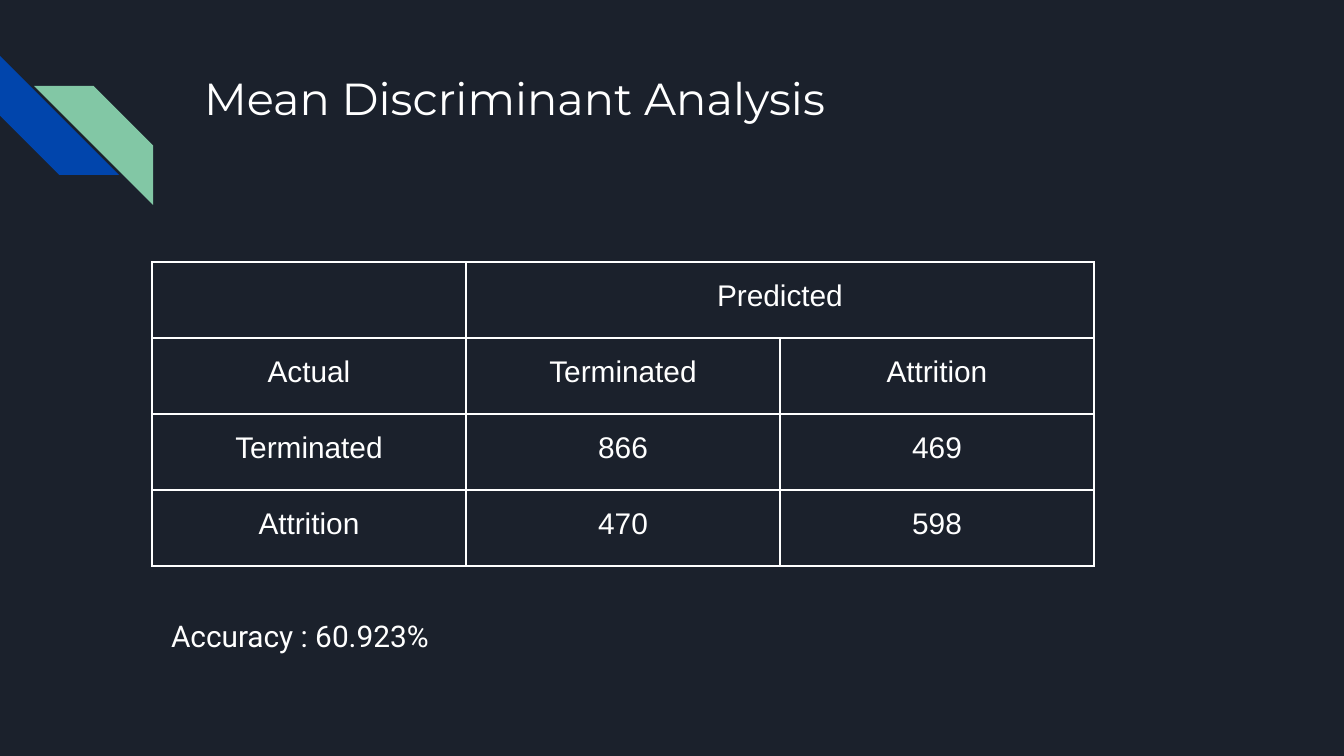
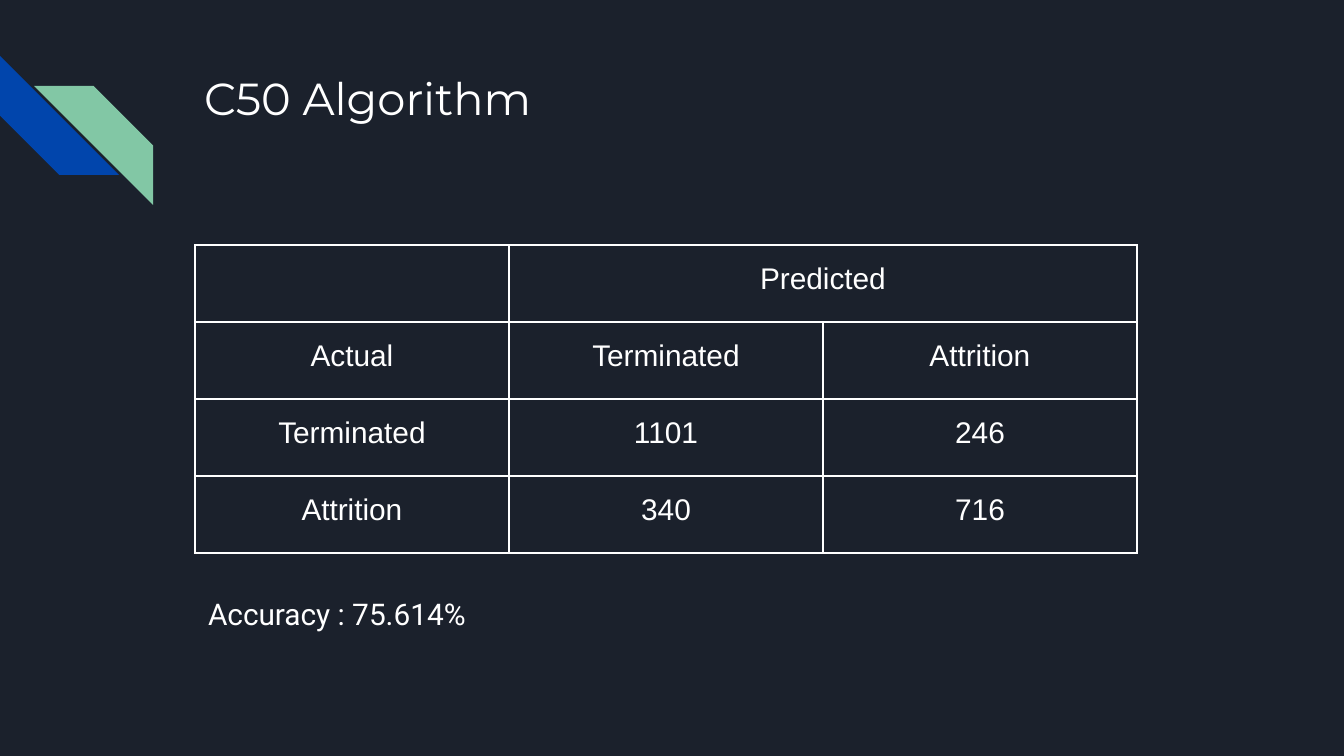
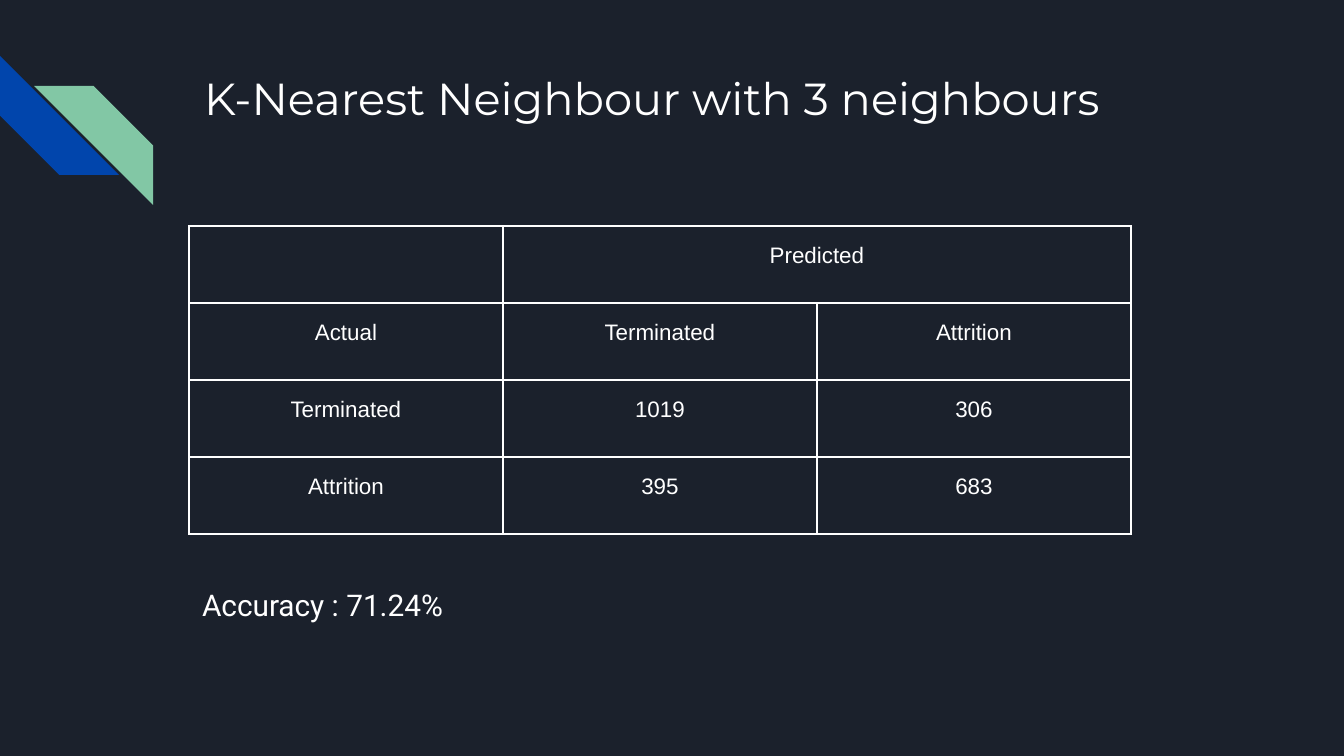
from dataclasses import dataclass

from lxml import etree
from pptx import Presentation
from pptx import util as u
from pptx.dml.color import RGBColor
from pptx.enum import shapes, text
from pptx.oxml import ns

EMU_PER_PX = 914400 / 134.4
NAVY, BLUE, GREEN, WHITE = "1B212C", "0145AC", "82C7A5", "FFFFFF"
TITLE_FONT, TABLE_FONT, NOTE_FONT = "Montserrat", "Arial", "Roboto"
COLUMN_WIDTH = 314
INSET = 13
CELL_SIDE_INSET = 9


@dataclass
class Box:
    left: int
    top: int
    width: int
    height: int


@dataclass
class Stripe:
    box: Box
    rotation: int
    color: str


@dataclass
class Result:
    """One classifier: its confusion matrix and its accuracy."""
    title: str
    matrix: list[list[int]]
    accuracy: str
    table_left: int
    table_top: int
    row_height: int
    table_size: int
    note_box: Box


TITLE_BOX = Box(191, 58, 1035, 134)
STRIPES = [
    Stripe(Box(0, 56, 119, 119), 270, BLUE),
    Stripe(Box(34, 86, 119, 119), 90, GREEN),
]
CLASSES = ["Terminated", "Attrition"]
RESULTS = [
    Result("Mean Discriminant Analysis", [[866, 469], [470, 598]], "60.923%",
           152, 262, 76, 16, Box(158, 605, 927, 114)),
    Result("C50 Algorithm", [[1101, 246], [340, 716]], "75.614%",
           195, 245, 77, 16, Box(195, 583, 942, 106)),
    Result("K-Nearest Neighbour with 3 neighbours", [[1019, 306], [395, 683]], "71.24%",
           189, 226, 77, 12, Box(189, 574, 942, 101)),
]


def px(length: int) -> u.Emu:
    return u.Emu(round(length * EMU_PER_PX))


def rgb(color: str) -> RGBColor:
    return RGBColor.from_string(color)


def place(shape, box: Box) -> None:
    shape.left, shape.top = px(box.left), px(box.top)
    shape.width, shape.height = px(box.width), px(box.height)


def add_span(para, words: str, font: str, size: int) -> None:
    span = para.add_run()
    span.text = words
    span.font.name = font
    span.font.size = u.Pt(size)
    span.font.color.rgb = rgb(WHITE)


def fill_frame(frame, words: str, font: str, size: int) -> None:
    """Write one left-aligned line at the top of a text frame."""
    frame.word_wrap = True
    frame.auto_size = text.MSO_AUTO_SIZE.NONE
    frame.vertical_anchor = text.MSO_ANCHOR.TOP
    frame.margin_left = frame.margin_right = px(INSET)
    frame.margin_top = frame.margin_bottom = px(INSET)
    para = frame.paragraphs[0]
    para.alignment = text.PP_ALIGN.LEFT
    add_span(para, words, font, size)


def add_stripe(page, stripe: Stripe) -> None:
    box = stripe.box
    shape = page.shapes.add_shape(shapes.MSO_SHAPE.DIAGONAL_STRIPE, px(box.left),
                                  px(box.top), px(box.width), px(box.height))
    shape.rotation = stripe.rotation
    shape.shadow.inherit = False
    shape.fill.solid()
    shape.fill.fore_color.rgb = rgb(stripe.color)
    shape.line.fill.background()


def outline_cell(cell) -> None:
    properties = cell._tc.get_or_add_tcPr()
    for side in ("a:lnL", "a:lnR", "a:lnT", "a:lnB"):
        line = etree.SubElement(properties, ns.qn(side), w=str(u.Pt(1)))
        solid = etree.SubElement(line, ns.qn("a:solidFill"))
        etree.SubElement(solid, ns.qn("a:srgbClr"), val=WHITE)


def fill_cell(cell, words: str, size: int) -> None:
    outline_cell(cell)
    cell.fill.background()
    cell.margin_left = cell.margin_right = px(CELL_SIDE_INSET)
    cell.margin_top = cell.margin_bottom = px(INSET)
    para = cell.text_frame.paragraphs[0]
    para.alignment = text.PP_ALIGN.CENTER
    para.line_spacing = 1.15
    if words:
        add_span(para, words, TABLE_FONT, size)


def add_confusion_table(page, result: Result) -> None:
    rows = [["", "Predicted", ""], ["Actual", *CLASSES]]
    rows += [[name, *map(str, counts)] for name, counts in zip(CLASSES, result.matrix)]
    table = page.shapes.add_table(
        len(rows), len(rows[0]), px(result.table_left), px(result.table_top),
        px(COLUMN_WIDTH * len(rows[0])), px(result.row_height * len(rows))).table
    table.first_row = table.horz_banding = False
    for column in table.columns:
        column.width = px(COLUMN_WIDTH)
    for row_index, row in enumerate(rows):
        table.rows[row_index].height = px(result.row_height)
        for column_index, words in enumerate(row):
            fill_cell(table.cell(row_index, column_index), words, result.table_size)
    table.cell(0, 1).merge(table.cell(0, 2))


def add_result_page(deck, result: Result) -> None:
    page = deck.slides.add_slide(deck.slide_layouts.get_by_name("Title Only"))
    for stripe in STRIPES:
        add_stripe(page, stripe)
    title = page.shapes.title
    place(title, TITLE_BOX)
    fill_frame(title.text_frame, result.title, TITLE_FONT, 24)
    add_confusion_table(page, result)
    box = result.note_box
    note = page.shapes.add_textbox(px(box.left), px(box.top), px(box.width), px(box.height))
    fill_frame(note.text_frame, f"Accuracy : {result.accuracy}", NOTE_FONT, 16)


def main() -> None:
    deck = Presentation()
    deck.slide_width, deck.slide_height = px(1344), px(756)
    backdrop = deck.slide_master.background.fill
    backdrop.solid()
    backdrop.fore_color.rgb = rgb(NAVY)
    for result in RESULTS:
        add_result_page(deck, result)
    deck.save("out.pptx")


if __name__ == "__main__":
    main()
